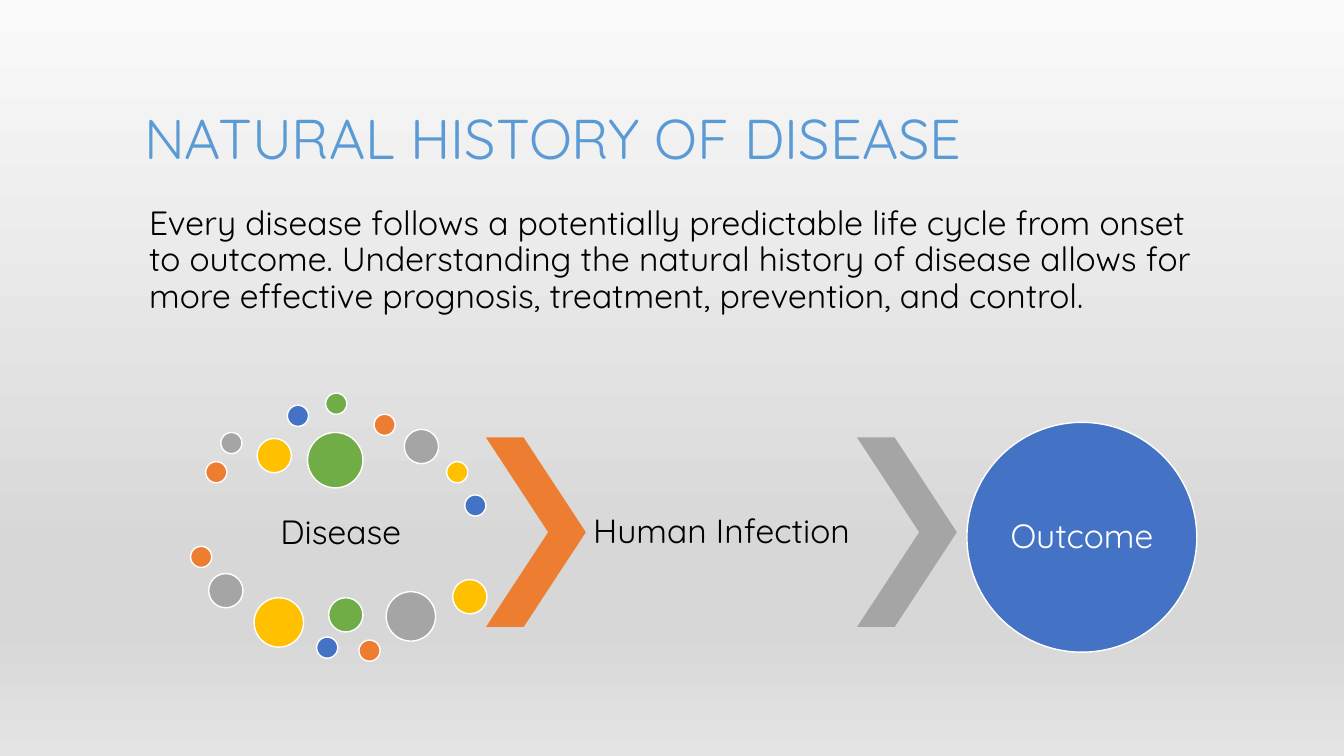
import pptx
import pptx.dml.color
import pptx.enum.shapes
import pptx.enum.text
import pptx.oxml
import pptx.oxml.ns
import pptx.util
from pptx.dml.color import RGBColor
from pptx.enum.shapes import MSO_SHAPE
from pptx.enum.text import MSO_ANCHOR, PP_ALIGN
from pptx.util import Inches

FONT = "Quicksand"
BLACK = RGBColor(0x00, 0x00, 0x00)
WHITE = RGBColor(0xFF, 0xFF, 0xFF)
TITLE_BLUE = RGBColor(0x5B, 0x9B, 0xD5)
BLUE = RGBColor(0x44, 0x72, 0xC4)
ORANGE = RGBColor(0xED, 0x7D, 0x31)
GRAY = RGBColor(0xA5, 0xA5, 0xA5)
GOLD = RGBColor(0xFF, 0xC0, 0x00)
GREEN = RGBColor(0x70, 0xAD, 0x47)
BACKDROP_STOPS = [(0, "FAFAFA"), (74, "D7D7D7"), (83, "D7D7D7"), (100, "E4E4E4")]

SMALL, MEDIUM, LARGE, LARGEST = 0.21, 0.34, 0.49, 0.55
# Left and top within the disease box, diameter, colour
DISEASE_DOTS = [
    (0.15, 0.68, SMALL, ORANGE), (0.30, 0.39, SMALL, GRAY),
    (0.66, 0.45, MEDIUM, GOLD), (0.96, 0.12, SMALL, BLUE),
    (1.34, 0.00, SMALL, GREEN), (1.82, 0.21, SMALL, ORANGE),
    (2.12, 0.36, MEDIUM, GRAY), (2.54, 0.68, SMALL, GOLD),
    (2.72, 1.01, SMALL, BLUE), (1.16, 0.39, LARGEST, GREEN),
    (0.00, 1.52, SMALL, ORANGE), (0.18, 1.79, MEDIUM, GRAY),
    (0.63, 2.03, LARGE, GOLD), (1.25, 2.42, SMALL, BLUE),
    (1.37, 2.03, MEDIUM, GREEN), (1.67, 2.45, SMALL, ORANGE),
    (1.94, 1.97, LARGE, GRAY), (2.60, 1.85, MEDIUM, GOLD),
]


def write_text(shape, text, size=24, color=BLACK, align=PP_ALIGN.CENTER,
               anchor=MSO_ANCHOR.MIDDLE, inset=0.03, indent=None):
    """Fill a shape with one paragraph; an indent also turns its bullet off."""
    frame = shape.text_frame
    frame.word_wrap = True
    frame.auto_size = pptx.enum.text.MSO_AUTO_SIZE.NONE
    frame.vertical_anchor = anchor
    frame.margin_left = frame.margin_right = Inches(inset)
    frame.margin_top = frame.margin_bottom = Inches(min(inset, 0.05))
    para = frame.paragraphs[0]
    if indent is not None:
        properties = para._p.get_or_add_pPr()
        properties.set("marL", str(Inches(indent)))
        properties.set("indent", "0")
        pptx.oxml.ns.qn("a:buNone")
        properties.append(pptx.oxml.parse_xml(
            f'<a:buNone {pptx.oxml.ns.nsdecls("a")}/>'))
    para.alignment = align
    para.line_spacing = 0.9
    para.space_before = pptx.util.Pt(0)
    span = para.add_run()
    span.text = text
    span.font.name = FONT
    span.font.size = pptx.util.Pt(size)
    span.font.color.rgb = color


def place(shape, left, top, width, height):
    shape.left, shape.top = Inches(left), Inches(top)
    shape.width, shape.height = Inches(width), Inches(height)


def add_filled_shape(page, kind, left, top, width, height, color, outlined=True):
    shape = page.shapes.add_shape(
        kind, Inches(left), Inches(top), Inches(width), Inches(height))
    shape.shadow.inherit = False
    shape.fill.solid()
    shape.fill.fore_color.rgb = color
    if outlined:
        shape.line.color.rgb = WHITE
        shape.line.width = pptx.util.Pt(1)
    else:
        shape.line.fill.background()
    return shape


def add_label(page, text, left, top, width, height):
    box = page.shapes.add_textbox(
        Inches(left), Inches(top), Inches(width), Inches(height))
    write_text(box, text)


def paint_backdrop(page):
    fill = page.background.fill
    fill.gradient()
    fill.gradient_angle = 270
    stops = page.element.find(".//" + pptx.oxml.ns.qn("a:gsLst"))
    for stop in list(stops):
        stops.remove(stop)
    for percent, color in BACKDROP_STOPS:
        stops.append(pptx.oxml.parse_xml(
            f'<a:gs {pptx.oxml.ns.nsdecls("a")} pos="{percent * 1000}">'
            f'<a:srgbClr val="{color}"/></a:gs>'))


def add_heading(page, left, top, width):
    title, body = page.shapes.title, page.placeholders[1]
    place(title, left, top, width, 1.45)
    write_text(title, "NATURAL HISTORY OF DISEASE", size=40, color=TITLE_BLUE,
               align=PP_ALIGN.LEFT, anchor=MSO_ANCHOR.BOTTOM, inset=0.1)
    place(body, left, top + 1.7, width, 4.75)
    write_text(body, "Every disease follows a potentially predictable life cycle "
               "from onset to outcome. Understanding the natural history of disease "
               "allows for more effective prognosis, treatment, prevention, and control.",
               align=PP_ALIGN.LEFT, anchor=MSO_ANCHOR.TOP, inset=0.1, indent=0.05)


def add_disease(page, left, top):
    add_label(page, "Disease", left + 0.15, top + 0.95, 2.68, 0.88)
    for dot_left, dot_top, diameter, color in DISEASE_DOTS:
        add_filled_shape(page, MSO_SHAPE.OVAL, left + dot_left, top + dot_top,
                         diameter, diameter, color)


def add_progression(page, left, top):
    """Two chevrons with the infection stage between them, then the outcome."""
    chevron_width, label_width, height = 0.99, 2.69, 1.88
    second_left = left + chevron_width + label_width
    for chevron_left, color in ((left, ORANGE), (second_left, GRAY)):
        chevron = add_filled_shape(page, MSO_SHAPE.CHEVRON, chevron_left, top,
                                   chevron_width, height, color, outlined=False)
        chevron.adjustments[0] = 0.623
    add_label(page, "Human Infection", left + chevron_width, top, label_width, height)
    outcome = add_filled_shape(page, MSO_SHAPE.OVAL, second_left + 1.09, top - 0.15,
                               2.28, 2.28, BLUE)
    write_text(outcome, "Outcome", color=WHITE, inset=0)


def main():
    deck = pptx.Presentation()
    deck.slide_width, deck.slide_height = Inches(13.33), Inches(7.5)
    page = deck.slides.add_slide(deck.slide_layouts[1])
    paint_backdrop(page)
    add_heading(page, 1.33, 0.3, 10.67)
    add_disease(page, 1.89, 3.9)
    add_progression(page, 4.82, 4.34)
    deck.save("out.pptx")


if __name__ == "__main__":
    main()
